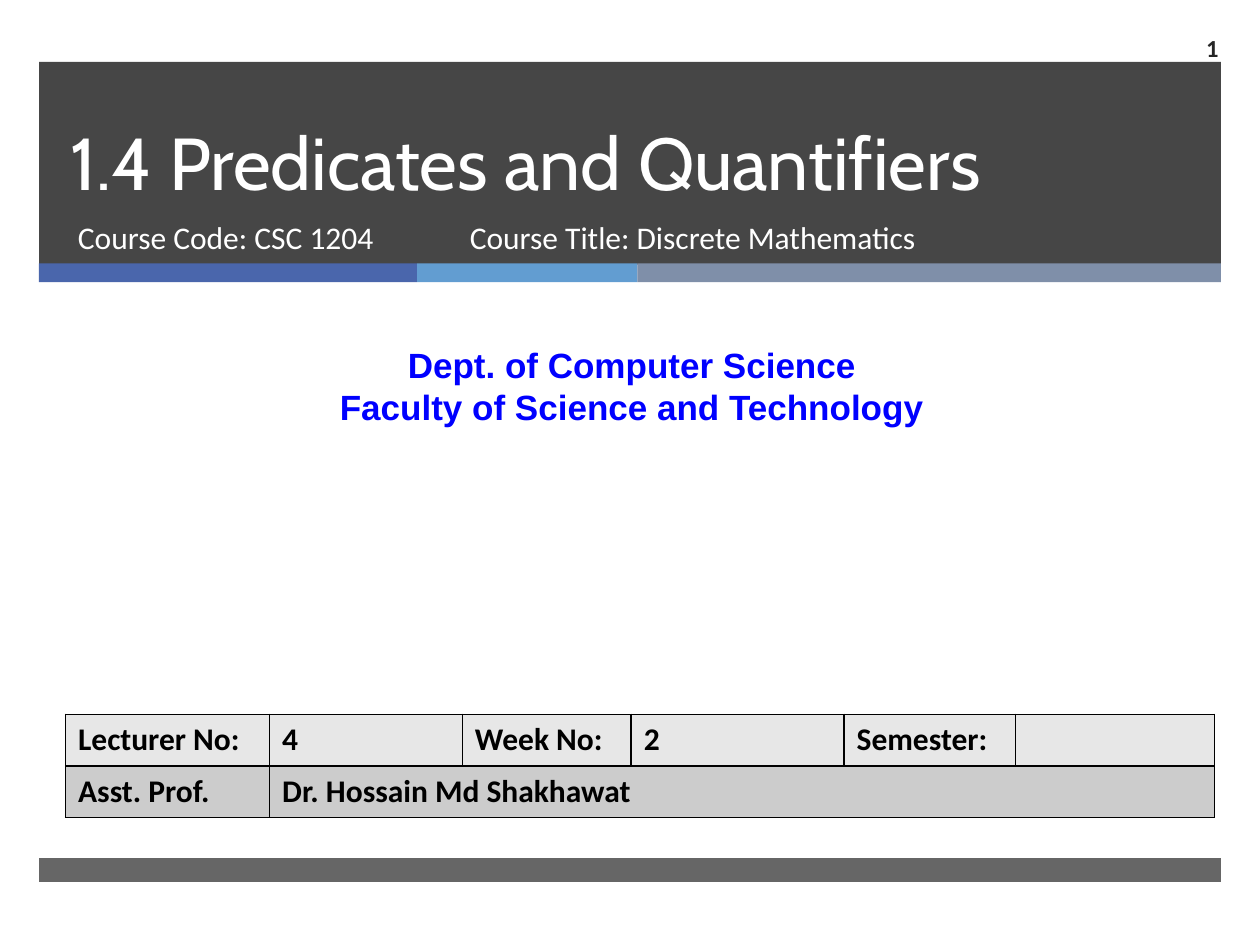
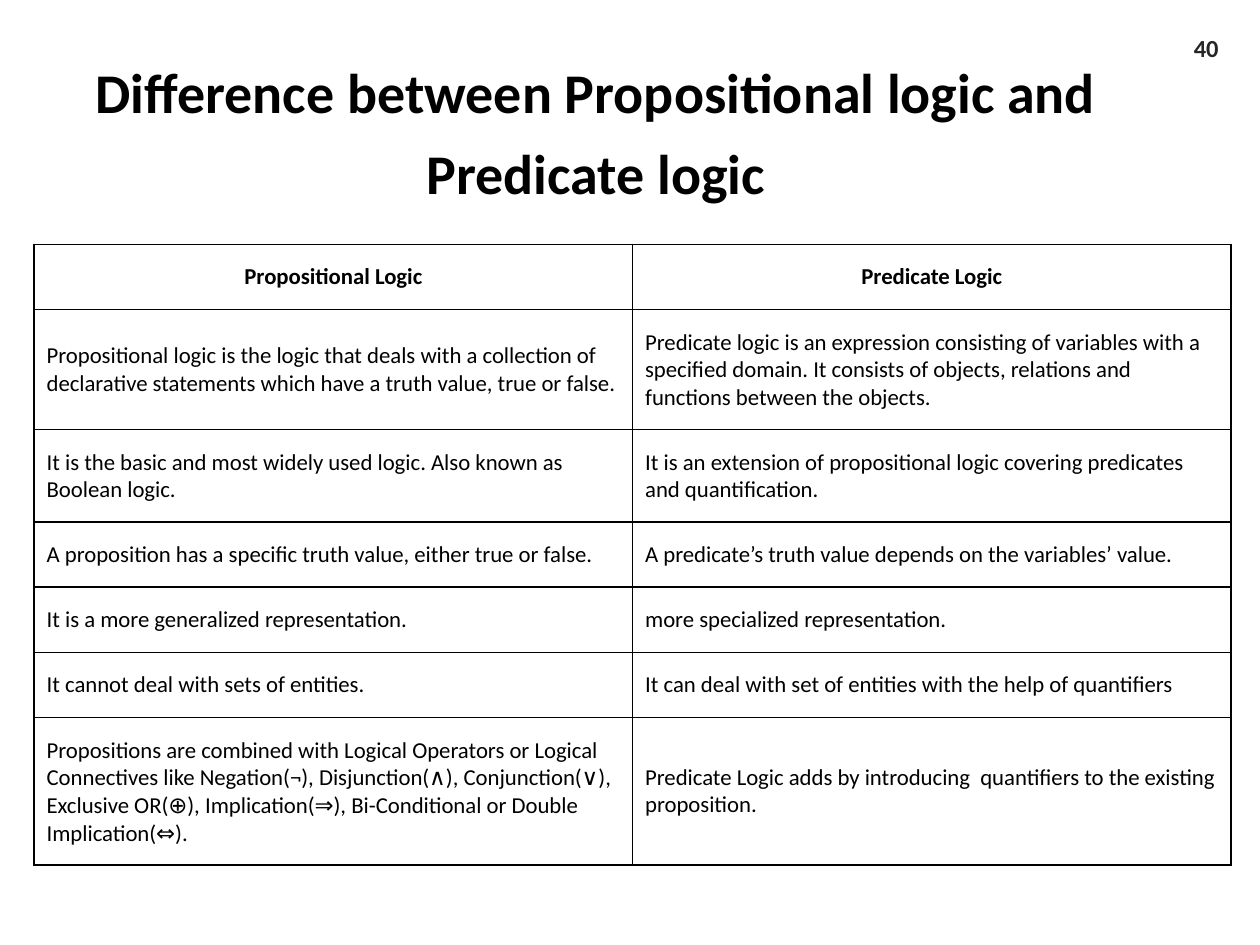
from lxml import etree
from pptx import Presentation
from pptx.dml.color import RGBColor
from pptx.enum.shapes import MSO_SHAPE
from pptx.enum.text import MSO_ANCHOR, MSO_AUTO_SIZE, PP_ALIGN
from pptx.oxml.ns import qn
from pptx.util import Inches, Pt

RECT = MSO_SHAPE.RECTANGLE
MIDDLE, BOTTOM = MSO_ANCHOR.MIDDLE, MSO_ANCHOR.BOTTOM
LEFT, CENTER, RIGHT = PP_ALIGN.LEFT, PP_ALIGN.CENTER, PP_ALIGN.RIGHT
COLORS = {
    "dark": "262626", "blue": "4A66AC", "sky": "629DD1", "slate": "7F8FA9",
    "white": "FFFFFF", "black": "000000", "dept": "0000FF",
    "row_light": "E7E7E7", "row_dark": "CCCCCC",
}


def set_text(tf, text, size, color, bold=False, font="Calibri", align=LEFT):
    tf.word_wrap = True
    tf.text = text
    for p in tf.paragraphs:
        p.alignment = align
        for r in p.runs:
            r.font.name = font
            r.font.size = Pt(size)
            r.font.bold = bold
            r.font.color.rgb = RGBColor.from_string(COLORS[color])


def add_grid(s, left, top, widths, heights):
    """Add a table without banding, with a 1 pt black border on every cell."""
    frame = s.shapes.add_table(len(heights), len(widths), Inches(left), Inches(top),
                               Inches(sum(widths)), Inches(sum(heights)))
    table = frame.table
    table.first_row = table.horz_banding = False
    for column, width in zip(table.columns, widths):
        column.width = Inches(width)
    for row, height in zip(table.rows, heights):
        row.height = Inches(height)
    for cell in table.iter_cells():
        tc_pr = cell._tc.get_or_add_tcPr()
        for side in ("lnL", "lnR", "lnT", "lnB"):
            line = etree.SubElement(tc_pr, qn(f"a:{side}"), w=str(Pt(1)))
            fill = etree.SubElement(line, qn("a:solidFill"))
            etree.SubElement(fill, qn("a:srgbClr"), val=COLORS["black"])
    return table


prs = Presentation()
prs.slide_width, prs.slide_height = Inches(10), Inches(7.5)

# Title and page number on both slides
slides = []
for title_text, size, color, bold, font, align, number in [
    ("1.4 Predicates and Quantifiers", 42, "white", False, "Cabin", LEFT, "1"),
    ("Difference between Propositional logic and Predicate logic",
     32, "black", True, "Calibri", CENTER, "40"),
]:
    s = prs.slides.add_slide(prs.slide_layouts[5])
    title = s.shapes.title
    title.left, title.top = Inches(0.46), Inches(0.49)
    title.width, title.height = Inches(8.54), Inches(1.19)
    tf = title.text_frame
    set_text(tf, title_text, size, color, bold, font, align)
    tf.auto_size = MSO_AUTO_SIZE.NONE
    tf.vertical_anchor = BOTTOM
    tf.paragraphs[0].line_spacing = Pt(46)

    page = s.shapes.add_textbox(Inches(9.08), Inches(0.18), Inches(0.69), Inches(0.39))
    set_text(page.text_frame, number, 14, "dark", True, align=RIGHT)
    page.text_frame.vertical_anchor = MIDDLE
    slides.append(s)

cover, comparison = slides

# Cover: bands, with the title brought in front of them
for left, top, width, height, color, opacity in [
    (0.31, 0.49, 9.38, 1.61, "dark", 85),
    (0.31, 2.09, 3, 0.15, "blue", 100),
    (3.31, 2.09, 1.75, 0.15, "sky", 100),
    (5.06, 2.09, 4.63, 0.15, "slate", 100),
    (0.31, 6.81, 9.38, 0.19, "dark", 70),
]:
    band = cover.shapes.add_shape(RECT, Inches(left), Inches(top), Inches(width), Inches(height))
    band.shadow.inherit = False
    band.line.fill.background()
    band.fill.solid()
    band.fill.fore_color.rgb = RGBColor.from_string(COLORS[color])
    if opacity < 100:
        rgb = band.element.spPr.find(qn("a:solidFill")).find(qn("a:srgbClr"))
        etree.SubElement(rgb, qn("a:alpha"), val=str(opacity * 1000))
title = cover.shapes.title
title.element.getparent().append(title.element)

# Cover: course and department
for text, left, top, width, height, size, color, bold, font, align in [
    ("Course Code: CSC 1204", 0.52, 1.68, 3.05, 0.53, 18, "white", False, "Calibri", LEFT),
    ("Course Title: Discrete Mathematics", 3.63, 1.68, 4.55, 0.53,
     18, "white", False, "Calibri", LEFT),
    ("Dept. of Computer Science\nFaculty of Science and Technology",
     0.08, 2.68, 9.87, 0.77, 20, "dept", True, "Arial", CENTER),
]:
    box = cover.shapes.add_textbox(Inches(left), Inches(top), Inches(width), Inches(height))
    set_text(box.text_frame, text, size, color, bold, font, align)

# Cover: lecture details
lecture = add_grid(cover, 0.52, 5.67, [1.62, 1.53, 1.34, 1.69, 1.36, 1.58], [0.41, 0.41])
lecture.cell(1, 1).merge(lecture.cell(1, 5))
lecture_rows = [
    ("row_light", ["Lecturer No:", "4", "Week No:", "2", "Semester:", ""]),
    ("row_dark", ["Asst. Prof.", "Dr. Hossain Md Shakhawat", "", "", "", ""]),
]
for i, (color, texts) in enumerate(lecture_rows):
    for j, text in enumerate(texts):
        cell = lecture.cell(i, j)
        cell.fill.solid()
        cell.fill.fore_color.rgb = RGBColor.from_string(COLORS[color])
        if text:
            set_text(cell.text_frame, text, 18, "black", True)

# Comparison of the two logics
logic_rows = [
    ("Propositional Logic", "Predicate Logic"),
    ("Propositional logic is the logic that deals with a collection of declarative "
     "statements which have a truth value, true or false.",
     "Predicate logic is an expression consisting of variables with a specified domain. "
     "It consists of objects, relations and functions between the objects."),
    ("It is the basic and most widely used logic. Also known as Boolean logic.",
     "It is an extension of propositional logic covering predicates and quantification."),
    ("A proposition has a specific truth value, either true or false.",
     "A predicate’s truth value depends on the variables’ value."),
    ("It is a more generalized representation.", "more specialized representation."),
    ("It cannot deal with sets of entities.",
     "It can deal with set of entities with the help of quantifiers"),
    ("Propositions are combined with Logical Operators or Logical Connectives like "
     "Negation(¬), Disjunction(∧), Conjunction(∨), Exclusive OR(⊕), Implication(⇒), "
     "Bi-Conditional or Double Implication(⇔).",
     "Predicate Logic adds by introducing  quantifiers to the existing proposition."),
]
logic = add_grid(comparison, 0.27, 1.94, [4.75, 4.75],
                 [0.51, 0.95, 0.73, 0.51, 0.51, 0.51, 1.17])
for i, texts in enumerate(logic_rows):
    for j, text in enumerate(texts):
        cell = logic.cell(i, j)
        cell.fill.background()
        cell.margin_top = cell.margin_bottom = Inches(0.15)
        cell.vertical_anchor = MIDDLE
        set_text(cell.text_frame, text, 13, "black", i == 0, align=CENTER if i == 0 else LEFT)

prs.save("out.pptx")
